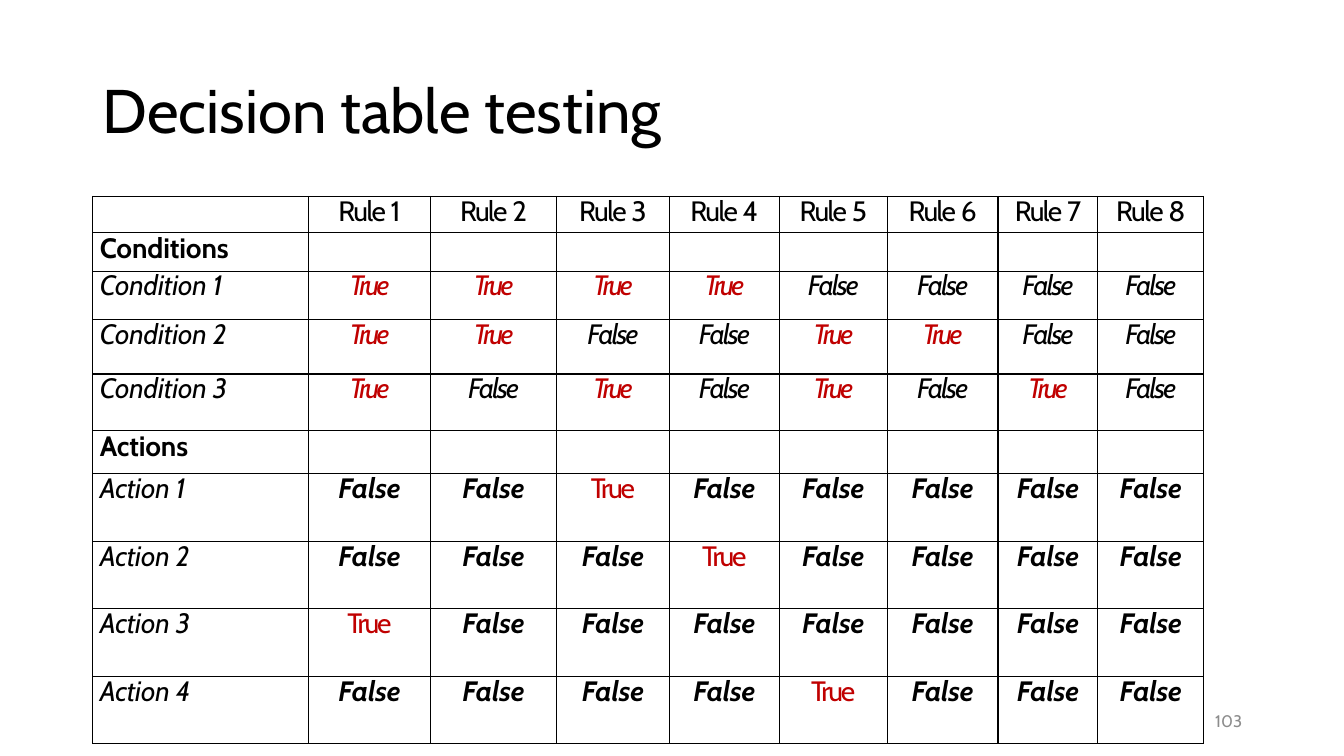
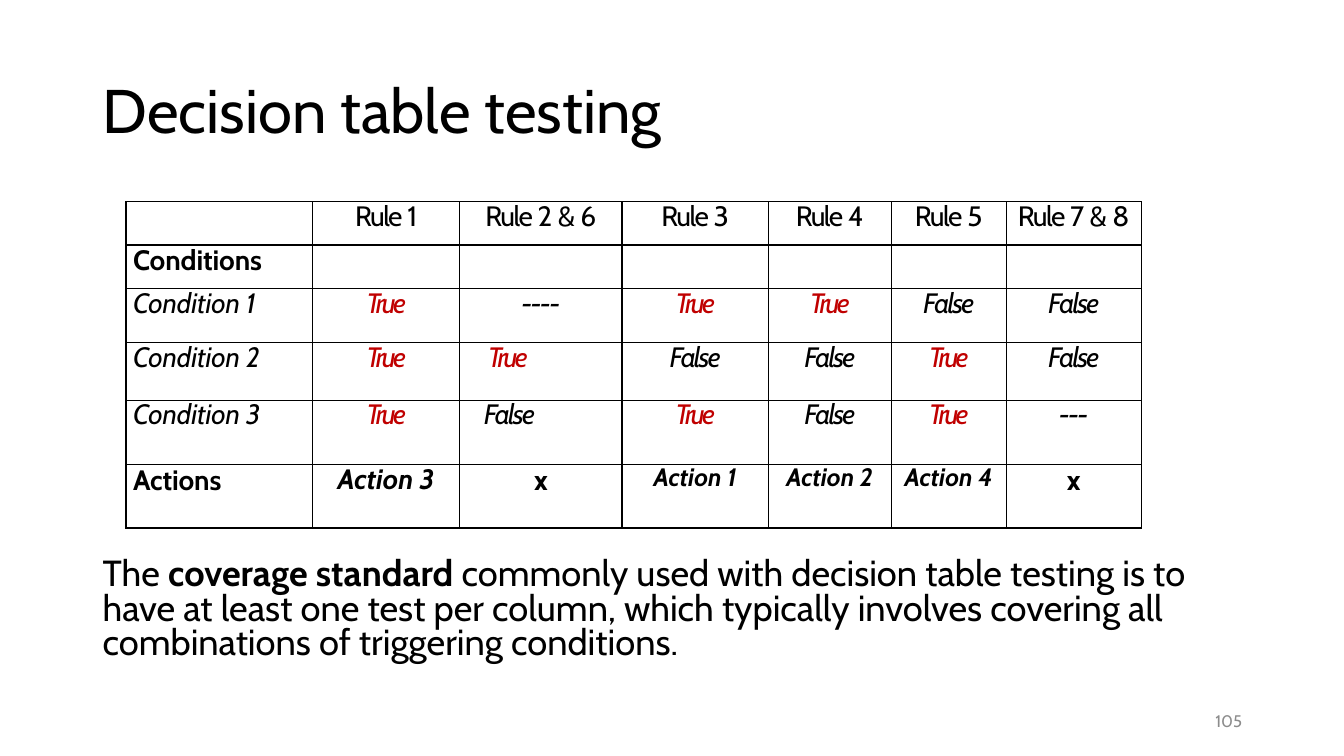
from dataclasses import dataclass, field
from enum import Enum

from lxml.etree import SubElement
from pptx import Presentation
from pptx.dml.color import RGBColor
from pptx.enum.text import MSO_ANCHOR, PP_ALIGN
from pptx.oxml.ns import qn
from pptx.util import Inches, Pt


@dataclass(frozen=True)
class Theme:
    font: str = "Cabin"
    ink: str = "000000"
    accent: str = "C00000"
    muted: str = "8C8C8C"
    title_size: float = 44
    body_size: float = 25.9
    table_size: float = 20
    small_size: float = 18
    footer_size: float = 12
    border: float = 1


THEME = Theme()


@dataclass(frozen=True)
class Look:
    """Format of a table value; spacing is between letters, in points."""
    size: float = THEME.table_size
    color: str = THEME.ink
    bold: bool = False
    italic: bool = False
    spacing: float = 0

    @property
    def line_height(self) -> float:
        ratio = 1.17 if self.bold and not self.italic else 1.14
        return round(self.size * ratio, 1)


class Kind(Enum):
    HEADER = "header"
    SECTION = "section"
    CONDITION = "condition"
    ACTION = "action"
    OUTCOME = "outcome"


HEADER_WORD = Look(spacing=-1.1)
HEADER_NUMBER = Look(spacing=-0.3)
SECTION_LABEL = Look(bold=True, spacing=-0.1)
ITEM_LABEL = Look(italic=True, spacing=-0.1)
DEFAULT_LOOKS = {
    Kind.CONDITION: Look(italic=True, spacing=-1.3),
    Kind.ACTION: Look(bold=True, italic=True, spacing=-0.1),
    Kind.OUTCOME: Look(size=THEME.small_size, bold=True, italic=True),
}
SPECIAL_LOOKS = {
    (Kind.CONDITION, "True"): Look(color=THEME.accent, italic=True, spacing=-1.9),
    (Kind.ACTION, "True"): Look(color=THEME.accent, spacing=-1.5),
    (Kind.OUTCOME, "Action 3"): Look(bold=True, italic=True),
    (Kind.OUTCOME, "x"): Look(bold=True),
}


@dataclass(frozen=True)
class Row:
    kind: Kind
    height: float
    label: str
    values: list[str] = field(default_factory=list)


@dataclass(frozen=True)
class DecisionTable:
    left: float
    top: float
    widths: list[float]
    rows: list[Row]
    indents: dict[tuple[int, int], float] = field(default_factory=dict)


LABEL_INDENT = 0.07

FULL_TABLE = DecisionTable(
    0.92, 1.95, [2.14, 1.21, 1.25, 1.12, 1.09, 1.07, 1.1, 0.99, 1.05],
    [
        Row(Kind.HEADER, 0.36, "", [f"Rule {number}" for number in range(1, 9)]),
        Row(Kind.SECTION, 0.38, "Conditions"),
        Row(Kind.CONDITION, 0.48, "Condition 1", ["True"] * 4 + ["False"] * 4),
        Row(Kind.CONDITION, 0.54, "Condition 2", (["True"] * 2 + ["False"] * 2) * 2),
        Row(Kind.CONDITION, 0.56, "Condition 3", ["True", "False"] * 4),
        Row(Kind.SECTION, 0.43, "Actions"),
    ] + [
        Row(Kind.ACTION, 0.67, f"Action {number}",
            [str(rule == true_rule) for rule in range(1, 9)])
        for number, true_rule in enumerate([3, 4, 1, 5], start=1)
    ],
)

REDUCED_TABLE = DecisionTable(
    1.25, 2, [1.85, 1.46, 1.61, 1.45, 1.22, 1.14, 1.34],
    [
        Row(Kind.HEADER, 0.43, "",
            ["Rule 1", "Rule 2 & 6", "Rule 3", "Rule 4", "Rule 5", "Rule 7 & 8"]),
        Row(Kind.SECTION, 0.43, "Conditions"),
        Row(Kind.CONDITION, 0.54, "Condition 1",
            ["True", "----", "True", "True", "False", "False"]),
        Row(Kind.CONDITION, 0.57, "Condition 2",
            ["True", "True", "False", "False", "True", "False"]),
        Row(Kind.CONDITION, 0.64, "Condition 3",
            ["True", "False", "True", "False", "True", "---"]),
        Row(Kind.OUTCOME, 0.63, "Actions",
            ["Action 3", "x", "Action 1", "Action 2", "Action 4", "x"]),
    ],
    indents={(3, 2): 0.28, (4, 2): 0.24},
)


def add_span(para, text: str, *, size: float, color: str = THEME.ink,
             bold: bool = False, italic: bool = False, spacing: float = 0) -> None:
    span = para.add_run()
    span.text = text
    span.font.name = THEME.font
    span.font.size = Pt(size)
    span.font.bold = bold
    span.font.italic = italic
    span.font.color.rgb = RGBColor.from_string(color)
    if spacing:
        span._r.get_or_add_rPr().set("spc", str(round(spacing * 100)))


def add_look_span(para, text: str, look: Look) -> None:
    add_span(para, text, size=look.size, color=look.color, bold=look.bold,
             italic=look.italic, spacing=look.spacing)


def add_box(page, left: float, top: float, width: float, height: float, *,
            anchor=MSO_ANCHOR.TOP, align=PP_ALIGN.LEFT, line_spacing: float = 1):
    """Add a text box and return its first paragraph."""
    box = page.shapes.add_textbox(Inches(left), Inches(top), Inches(width), Inches(height))
    box.text_frame.word_wrap = True
    box.text_frame.vertical_anchor = anchor
    para = box.text_frame.paragraphs[0]
    para.alignment = align
    para.line_spacing = line_spacing
    return para


def add_page(deck, number: int):
    """Add a slide with the shared title and its page number."""
    page = deck.slides.add_slide(deck.slide_layouts[6])
    title = add_box(page, 0.92, 0.4, 11.5, 1.45, anchor=MSO_ANCHOR.MIDDLE, line_spacing=0.9)
    add_span(title, "Decision table testing", size=THEME.title_size)
    footer = add_box(page, 9.42, 6.95, 3, 0.4, anchor=MSO_ANCHOR.MIDDLE, align=PP_ALIGN.RIGHT)
    add_span(footer, str(number), size=THEME.footer_size, color=THEME.muted)
    return page


def clear_cell(cell) -> None:
    """Give a cell no fill, no margins and a thin border on all sides."""
    cell.margin_left = cell.margin_right = cell.margin_top = cell.margin_bottom = 0
    properties = cell._tc.get_or_add_tcPr()
    for side in ("a:lnL", "a:lnR", "a:lnT", "a:lnB"):
        line = SubElement(properties, qn(side), w=str(Pt(THEME.border)))
        fill = SubElement(line, qn("a:solidFill"))
        SubElement(fill, qn("a:srgbClr"), val=THEME.ink)
    cell.fill.background()


def write_label(cell, row: Row) -> None:
    is_section = row.kind in (Kind.SECTION, Kind.OUTCOME)
    look = SECTION_LABEL if is_section else ITEM_LABEL
    cell.margin_left = Inches(LABEL_INDENT)
    para = cell.text_frame.paragraphs[0]
    para.line_spacing = Pt(look.line_height)
    add_look_span(para, row.label, look)


def write_value(cell, kind: Kind, text: str, indent: float | None) -> None:
    para = cell.text_frame.paragraphs[0]
    if indent is None:
        para.alignment = PP_ALIGN.CENTER
    else:
        cell.margin_left = Inches(indent)
    if kind is Kind.HEADER:
        word, numbers = text.split(" ", 1)
        para.line_spacing = Pt(HEADER_WORD.line_height)
        add_look_span(para, word + " ", HEADER_WORD)
        add_look_span(para, numbers, HEADER_NUMBER)
    else:
        look = SPECIAL_LOOKS.get((kind, text), DEFAULT_LOOKS[kind])
        para.line_spacing = Pt(look.line_height)
        add_look_span(para, text, look)


def add_decision_table(page, content: DecisionTable) -> None:
    frame = page.shapes.add_table(
        len(content.rows), len(content.widths), Inches(content.left), Inches(content.top),
        Inches(sum(content.widths)), Inches(sum(row.height for row in content.rows)))
    table = frame.table
    table.first_row = table.horz_banding = False
    for column, width in zip(table.columns, content.widths):
        column.width = Inches(width)
    for cell in table.iter_cells():
        clear_cell(cell)
    for row_index, row in enumerate(content.rows):
        table.rows[row_index].height = Inches(row.height)
        if row.label:
            write_label(table.cell(row_index, 0), row)
        for column_index, text in enumerate(row.values, start=1):
            write_value(table.cell(row_index, column_index), row.kind, text,
                        content.indents.get((row_index, column_index)))


def add_coverage_note(page) -> None:
    para = add_box(page, 0.92, 5.49, 11.5, 1.27, line_spacing=0.8)
    add_span(para, "The ", size=THEME.body_size)
    add_span(para, "coverage standard ", size=THEME.body_size, bold=True)
    add_span(para, "commonly used with decision table testing is to have at least one test "
             "per column, which typically involves covering all combinations of "
             "triggering conditions.", size=THEME.body_size)


def main() -> None:
    deck = Presentation()
    deck.slide_width = Inches(13.33)
    deck.slide_height = Inches(7.5)
    add_decision_table(add_page(deck, 103), FULL_TABLE)
    reduced_page = add_page(deck, 105)
    add_coverage_note(reduced_page)
    add_decision_table(reduced_page, REDUCED_TABLE)
    deck.save("out.pptx")


if __name__ == "__main__":
    main()
